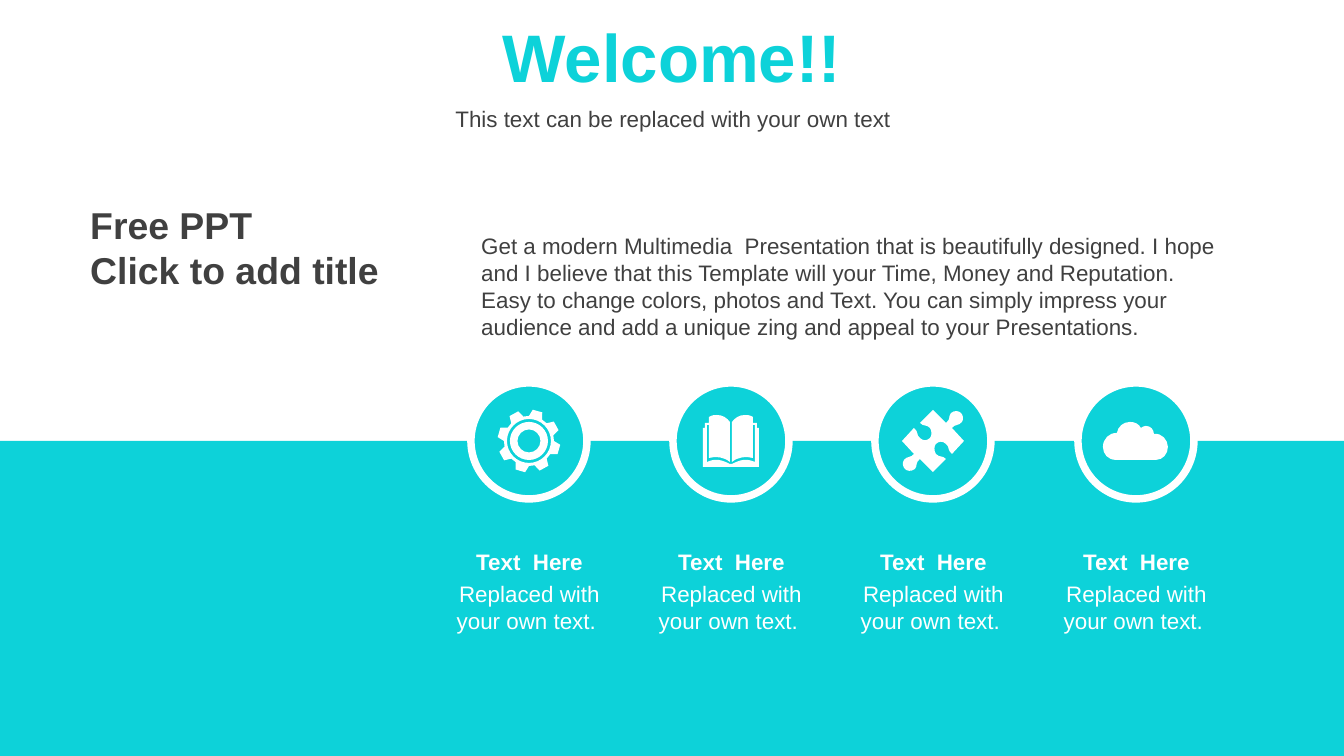
from math import cos, radians, sin

from lxml.etree import SubElement
from pptx import Presentation
from pptx.dml.color import RGBColor
from pptx.enum.shapes import MSO_SHAPE as Preset
from pptx.enum.text import MSO_ANCHOR as Anchor, MSO_AUTO_SIZE as AutoSize, PP_ALIGN as Align
from pptx.oxml.ns import qn
from pptx.util import Pt

PX = 914400 / 134.4
COLORS = {"accent": "0DD2D9", "dark": "404040", "white": "FFFFFF"}
SLIDE_W, SLIDE_H = 1344, 756
BAND_TOP = 441
RADIUS = 58
CAPTIONS = [("Text  Here", "Replaced with your own text.  ")] * 4
INTRO = (
    "Get a modern Multimedia  Presentation that is beautifully designed. "
    "I hope and I believe that this Template will your Time, Money and Reputation. "
    "Easy to change colors, photos and Text. You can simply impress your audience "
    "and add a unique zing and appeal to your Presentations."
)

# Icon outlines are px offsets from the circle's centre. After the start point,
# each step is one point (a line) or three points (a cubic curve).
CLOUD = [
    (-6, -19),
    [(-1, -19), (3, -17), (5, -13)],
    [(7, -14), (8, -15), (10, -15)],
    [(15, -15), (18, -11), (18, -7)],
    [(26, -8), (32, -1), (32, 6)],
    [(32, 13), (27, 19), (20, 19)],
    [(-20, 19)],
    [(-28, 19), (-33, 13), (-33, 6)],
    [(-33, -2), (-27, -8), (-19, -8)],
    [(-18, -14), (-13, -19), (-6, -19)],
]
PUZZLE_HALF = [
    (28, -28),
    [(30, -26), (31, -22), (29, -19)],
    [(26, -15), (22, -17), (19, -13)],
    [(31, 0)], [(19, 13)],
    [(14, 9), (17, 6), (13, 3)],
    [(10, 0), (6, 0), (3, 3)],
    [(1, 5), (1, 10), (3, 13)],
    [(7, 17), (9, 14), (13, 18)],
    [(0, 31)], [(-13, 18)],
    [(-18, 22), (-15, 24), (-18, 28)],
    [(-22, 31), (-26, 30), (-28, 28)],
]
BOOK_HALF = [
    (1, 23),
    [(9, 19), (15, 17), (24, 21)],
    [(24, -16)], [(22, -16)], [(22, 17)],
    [(15, 15), (7, 16), (1, 21)],
    [(1, -19)],
    [(4, -23), (8, -26), (14, -26)],
    [(16, -26), (19, -26), (22, -24)],
    [(22, -18)], [(26, -18)], [(26, -13)], [(28, -13)], [(28, 26)],
]


def px(length):
    return round(length * PX)


def rgb(name):
    return RGBColor.from_string(COLORS[name])


def place(shape, left, top, width, height):
    shape.left, shape.top = px(left), px(top)
    shape.width, shape.height = px(width), px(height)


def polar(radius, degrees):
    return radius * cos(radians(degrees)), radius * sin(radians(degrees))


def ring(radius):
    """Outline a circle with four cubic curves."""
    k = 0.55 * radius
    corners = [(radius, 0), (0, radius), (-radius, 0), (0, -radius), (radius, 0)]
    steps = []
    for (x, y), (next_x, next_y) in zip(corners, corners[1:]):
        handle = k / radius
        steps.append([
            (x + next_x * handle, y + next_y * handle),
            (next_x + x * handle, next_y + y * handle),
            (next_x, next_y),
        ])
    return [corners[0], *steps]


def gear_contours():
    first, *others = [
        polar(radius, 45 * tooth - 74 + turn)
        for tooth in range(8)
        for radius, turn in ((25, -16), (31.5, -9), (31.5, 9), (25, 16))
    ]
    return [[first, *([point] for point in others)], ring(22), ring(19), ring(11.5)]


def book_contours():
    """Run along the right half, then back along its mirror image."""
    start, *steps = BOOK_HALF
    ends = [start, *(step[-1] for step in steps)]
    back = [[*reversed(step[:-1]), end] for step, end in zip(steps, ends)][::-1]
    mirrored = [[(-x, y) for x, y in step] for step in [[ends[-1]], *back]]
    return [BOOK_HALF + mirrored]


def puzzle_contours():
    """Join the half outline to itself turned by 180 degrees."""
    turned = [[(-x, -y) for x, y in step] for step in PUZZLE_HALF[1:]]
    return [PUZZLE_HALF + turned]


def paint(shape, fill, line=None, line_width=4):
    shape.shadow.inherit = False
    shape.fill.solid()
    shape.fill.fore_color.rgb = rgb(fill)
    if line:
        shape.line.color.rgb = rgb(line)
        shape.line.width = Pt(line_width)
    else:
        shape.line.fill.background()


def add_preset(slide, preset, box, fill, line=None):
    shape = slide.shapes.add_shape(preset, *map(px, box))
    paint(shape, fill, line)


def bend_lines(shape, steps):
    """Join each three line segments of a curved step into one cubic curve."""
    segments = iter(list(shape._element.iter(qn("a:lnTo"))))
    for step in steps:
        curve, *extra = [next(segments) for _ in step]
        if extra:
            curve.tag = qn("a:cubicBezTo")
        for segment in extra:
            curve.append(segment[0])
            segment.getparent().remove(segment)


def add_icon(slide, contours, center):
    def locate(point):
        return px(center + point[0]), px(BAND_TOP + point[1])

    builder = None
    for start, *steps in contours:
        if builder is None:
            builder = slide.shapes.build_freeform(*locate(start), scale=1.0)
        else:
            builder.move_to(*locate(start))
        builder.add_line_segments([locate(p) for step in steps for p in step], close=True)
    icon = builder.convert_to_shape()
    bend_lines(icon, [step for contour in contours for step in contour[1:]])
    paint(icon, "white")


def write(frame, lines, size, color, bold=False, align=Align.LEFT):
    frame.word_wrap = True
    for i, line in enumerate(lines):
        paragraph = frame.add_paragraph() if i else frame.paragraphs[0]
        paragraph.text = line
        paragraph.alignment = align
        font = paragraph.font
        font.name, font.size, font.bold = "Arial", Pt(size), bold
        font.color.rgb = rgb(color)


def add_text(slide, box, lines, size, color, **style):
    frame = slide.shapes.add_textbox(*map(px, box)).text_frame
    write(frame, lines, size, color, **style)
    frame.auto_size = AutoSize.SHAPE_TO_FIT_TEXT


def fill_placeholder(holder, box, text, size, color, bold=False):
    place(holder, *box)
    frame = holder.text_frame
    write(frame, [text], size, color, bold, Align.CENTER)
    frame.auto_size = AutoSize.NONE
    frame.vertical_anchor = Anchor.MIDDLE


def remove_bullet(paragraph):
    properties = paragraph._p.get_or_add_pPr()
    properties.set("marL", "0")
    properties.set("indent", "0")
    SubElement(properties, qn("a:buNone"))


def add_heading(slide):
    welcome, subtitle = slide.placeholders
    fill_placeholder(welcome, (0, 8, SLIDE_W, 95), "Welcome!!", 36, "accent", bold=True)
    fill_placeholder(subtitle, (0, 103, SLIDE_W, 32),
                     "This text can be replaced with your own text", 12, "dark")
    subtitle.text_frame.margin_left = px(16)
    remove_bullet(subtitle.text_frame.paragraphs[0])


def add_feature(slide, center, contours, label, detail):
    add_preset(slide, Preset.OVAL,
               (center - RADIUS, BAND_TOP - RADIUS, 2 * RADIUS, 2 * RADIUS),
               "accent", "white")
    add_icon(slide, contours, center)
    left = center - 88
    add_text(slide, (left, 574, 177, 67), [detail], 12, "white", align=Align.CENTER)
    add_text(slide, (left, 542, 177, 40), [label], 12, "white", bold=True, align=Align.CENTER)


def main():
    deck = Presentation()
    deck.slide_width, deck.slide_height = px(SLIDE_W), px(SLIDE_H)
    slide = deck.slides.add_slide(deck.slide_layouts[1])
    add_heading(slide)
    add_preset(slide, Preset.RECTANGLE, (0, BAND_TOP, SLIDE_W, SLIDE_H - BAND_TOP), "accent")
    add_text(slide, (468, 226, 775, 122), [INTRO], 12, "dark")
    add_text(slide, (77, 196, 317, 103), ["Free PPT", "Click to add title"], 20, "dark", bold=True)
    icons = [gear_contours(), book_contours(), puzzle_contours(), [CLOUD]]
    for i, (contours, caption) in enumerate(zip(icons, CAPTIONS)):
        add_feature(slide, 529 + 607 * i // 3, contours, *caption)
    deck.save("out.pptx")


if __name__ == "__main__":
    main()
